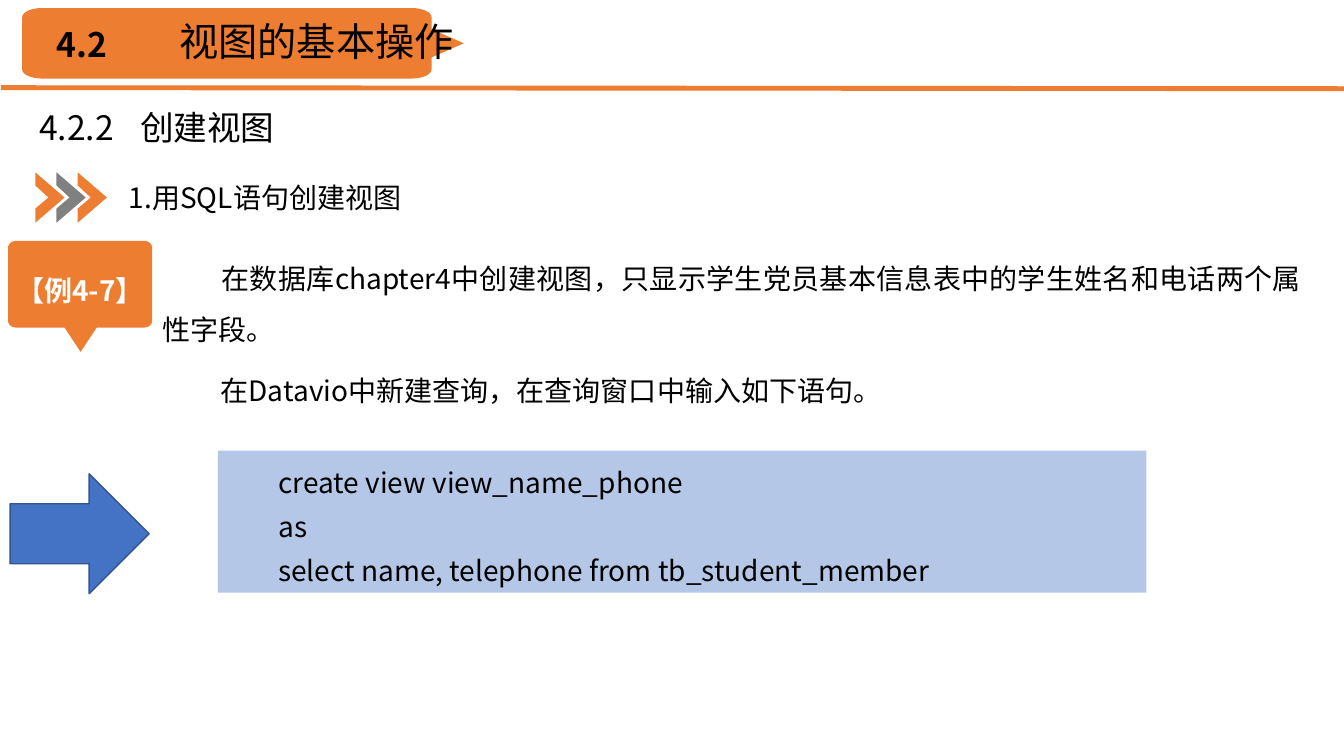
import math
from dataclasses import dataclass

import lxml.etree
import pptx
import pptx.dml.color
import pptx.enum.shapes
import pptx.enum.text
import pptx.oxml.ns
import pptx.util

Inches = pptx.util.Inches
Pt = pptx.util.Pt
Align = pptx.enum.text.PP_ALIGN
Anchor = pptx.enum.text.MSO_ANCHOR
Preset = pptx.enum.shapes.MSO_SHAPE


@dataclass(frozen=True)
class Theme:
    font: str = "Noto Sans CJK SC"
    orange: str = "ED7D31"
    gray: str = "808080"
    blue: str = "4472C4"
    dark_blue: str = "325491"
    pale_blue: str = "B4C7E7"
    black: str = "000000"
    white: str = "FFFFFF"
    title: int = 28
    heading: int = 24
    body: int = 20


def color(value):
    return pptx.dml.color.RGBColor.from_string(value)


def add_xml(parent, tag, **attributes):
    return lxml.etree.SubElement(parent, pptx.oxml.ns.qn(tag), attributes)


def rounded_corner(center_x, center_y, radius_x, radius_y, start, steps=8):
    angles = [math.radians(start + 90 * step / steps) for step in range(steps + 1)]
    return [(center_x + radius_x * math.cos(angle), center_y + radius_y * math.sin(angle))
            for angle in angles]


def rounded_outline(left, top, right, bottom, radius_x, radius_y, right_tip=(), bottom_tip=()):
    west, east = left + radius_x, right - radius_x
    north, south = top + radius_y, bottom - radius_y
    return [*rounded_corner(west, north, radius_x, radius_y, 180),
            *rounded_corner(east, north, radius_x, radius_y, 270),
            *right_tip,
            *rounded_corner(east, south, radius_x, radius_y, 0),
            *bottom_tip,
            *rounded_corner(west, south, radius_x, radius_y, 90)]


class SlideBuilder:
    def __init__(self, slide, theme):
        self.slide = slide
        self.theme = theme

    def style(self, shape, fill, line=None):
        shape.shadow.inherit = False
        shape.fill.solid()
        shape.fill.fore_color.rgb = color(fill)
        if line:
            shape.line.color.rgb = color(line)
            shape.line.width = Pt(1)
        else:
            shape.line.fill.background()

    def set_text(self, shape, lines, size, text_color=None, bold=False, indent=0, tab=None,
                 frame_format=None, paragraph_format=None):
        frame = shape.text_frame
        frame_values = {"word_wrap": True, "vertical_anchor": Anchor.TOP,
                        "auto_size": pptx.enum.text.MSO_AUTO_SIZE.NONE,
                        "margin_left": Inches(0.1), "margin_right": Inches(0.1),
                        "margin_top": Inches(0.05), "margin_bottom": Inches(0.05)}
        for name, value in {**frame_values, **(frame_format or {})}.items():
            setattr(frame, name, value)
        for index, text in enumerate(lines):
            paragraph = frame.add_paragraph() if index else frame.paragraphs[0]
            run = paragraph.add_run()
            run.text = text
            properties = paragraph._p.get_or_add_pPr()
            properties.set("marL", "0")
            properties.set("indent", str(Inches(indent)))
            add_xml(properties, "a:buNone")
            if tab:
                add_xml(add_xml(properties, "a:tabLst"), "a:tab", pos=str(Inches(tab)), algn="l")
            paragraph_values = {"alignment": Align.LEFT, "line_spacing": 1.0,
                                "space_before": Pt(0), "space_after": Pt(0)}
            for name, value in {**paragraph_values, **(paragraph_format or {})}.items():
                setattr(paragraph, name, value)
            font_values = {"name": self.theme.font, "size": Pt(size), "bold": bold}
            for name, value in font_values.items():
                setattr(run.font, name, value)
            run.font.color.rgb = color(text_color or self.theme.black)
            add_xml(run._r.get_or_add_rPr(), "a:ea", typeface=self.theme.font)

    def placeholder(self, shape, box, lines, size, fill=None, **text_format):
        for name, value in zip(("left", "top", "width", "height"), box):
            setattr(shape, name, Inches(value))
        if fill:
            shape.fill.solid()
            shape.fill.fore_color.rgb = color(fill)
        self.set_text(shape, lines, size, **text_format)
        shape.element.getparent().append(shape.element)

    def text(self, box, line, size, **text_format):
        shape = self.slide.shapes.add_textbox(*map(Inches, box))
        self.set_text(shape, [line], size, **text_format)

    def preset(self, kind, box, fill, line=None):
        shape = self.slide.shapes.add_shape(kind, *map(Inches, box))
        self.style(shape, fill, line)

    def outline(self, points, fill):
        corners = [(Inches(x), Inches(y)) for x, y in points]
        builder = self.slide.shapes.build_freeform(*corners[0])
        builder.add_line_segments(corners[1:], close=True)
        shape = builder.convert_to_shape()
        self.style(shape, fill)
        return shape

    def rule(self, start, end, line_color, width):
        connector = self.slide.shapes.add_connector(
            pptx.enum.shapes.MSO_CONNECTOR.STRAIGHT, *map(Inches, (*start, *end)))
        connector.line.color.rgb = color(line_color)
        connector.line.width = Pt(width)
        add_xml(connector.element.spPr, "a:effectLst")


def main():
    presentation = pptx.Presentation()
    presentation.slide_width = Inches(13.33)
    presentation.slide_height = Inches(7.5)
    slide = presentation.slides.add_slide(presentation.slide_layouts[1])
    theme = Theme()
    builder = SlideBuilder(slide, theme)

    builder.rule((0.01, 0.87), (13.33, 0.88), theme.orange, 3.5)
    builder.outline(rounded_outline(0.22, 0.08, 4.28, 0.78, 0.2, 0.09,
                                    right_tip=[(4.28, 0.29), (4.6, 0.43), (4.28, 0.57)]),
                    theme.orange)
    builder.text((0.46, 0.19, 0.95, 0.5), "4.2", theme.heading, bold=True)
    builder.placeholder(slide.shapes.title, (1.68, 0.12, 4.92, 0.57),
                        ["视图的基本操作"], theme.title)
    builder.text((0.29, 1.01, 4.92, 0.5), "4.2.2\t创建视图", theme.heading, tab=1.04)

    chevron = [(0, 0.13), (0, 0), (0.29, 0.25), (0, 0.5), (0, 0.36), (0.13, 0.25)]
    for index, fill in enumerate((theme.orange, theme.gray, theme.orange)):
        left = 0.35 + 0.21 * index
        builder.outline([(left + x, 1.71 + y) for x, y in chevron], fill)
    builder.text((1.18, 1.74, 7, 0.44), "1.用SQL语句创建视图", theme.body)

    example = builder.outline(rounded_outline(0.08, 2.39, 1.51, 3.25, 0.08, 0.07,
                                              bottom_tip=[(0.96, 3.25), (0.8, 3.49), (0.64, 3.25)]),
                              theme.orange)
    builder.set_text(example, ["【例4-7】"], theme.body, text_color=theme.white, bold=True,
                     frame_format={"vertical_anchor": Anchor.MIDDLE, "margin_left": 0,
                                   "margin_right": 0, "margin_top": 0,
                                   "margin_bottom": Inches(0.12)},
                     paragraph_format={"alignment": Align.CENTER})
    builder.text((1.51, 2.38, 11.49, 1.11),
                 "在数据库chapter4中创建视图，只显示学生党员基本信息表中的学生姓名和电话两个属性字段。",
                 theme.body, indent=0.59,
                 paragraph_format={"alignment": Align.JUSTIFY, "line_spacing": 1.5})
    builder.text((1.59, 3.49, 7, 0.6), "在Datavio中新建查询，在查询窗口中输入如下语句。",
                 theme.body, indent=0.5, paragraph_format={"line_spacing": 1.5})
    builder.placeholder(slide.placeholders[1], (2.16, 4.47, 9.21, 1.41),
                        ["create view view_name_phone", "as",
                         "select name, telephone from tb_student_member"],
                        theme.body, fill=theme.pale_blue, indent=0.5,
                        paragraph_format={"alignment": Align.JUSTIFY, "line_spacing": 1.3})
    builder.preset(Preset.RIGHT_ARROW, (0.1, 4.7, 1.38, 1.19), theme.blue, theme.dark_blue)

    presentation.save("out.pptx")


if __name__ == "__main__":
    main()
